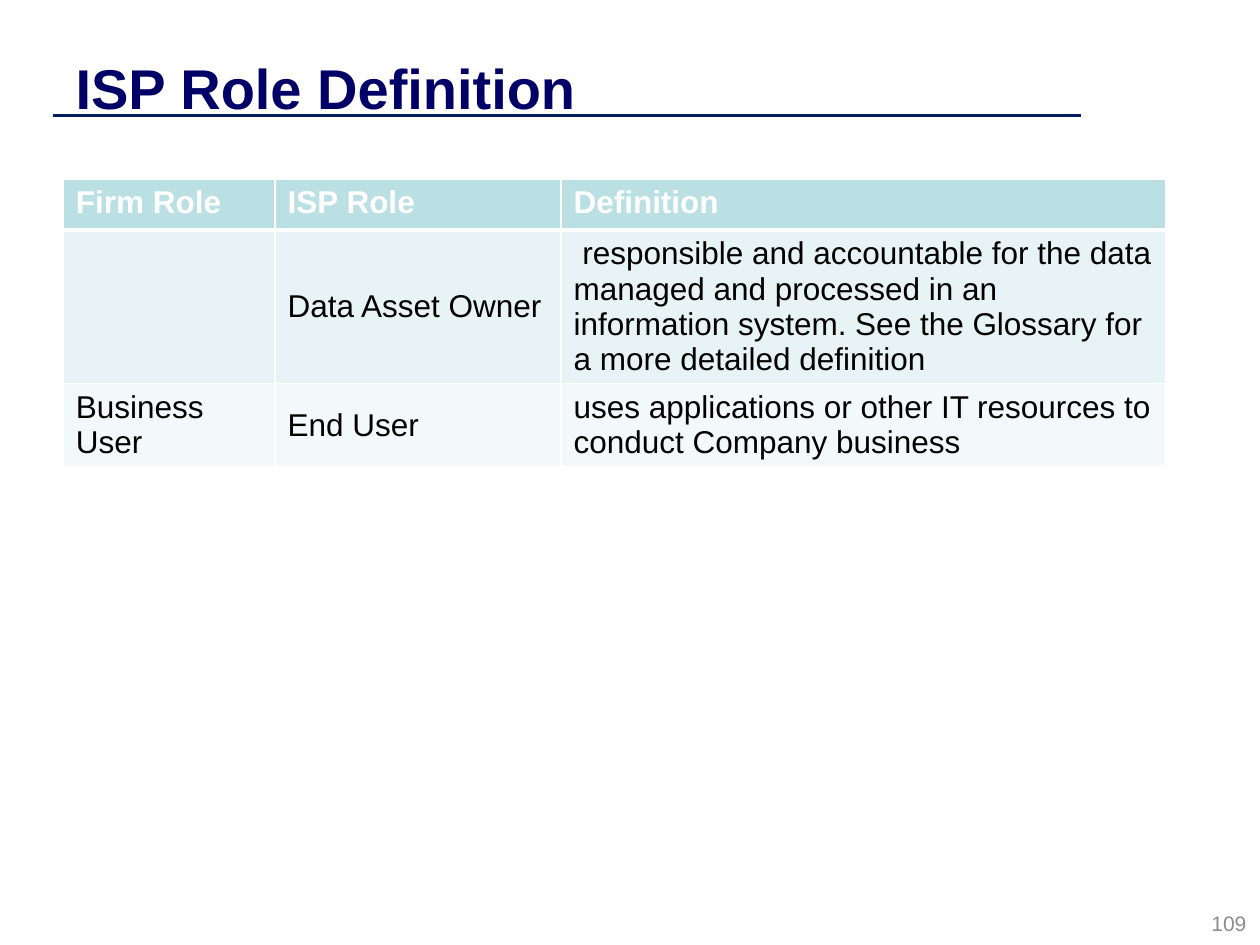
from typing import NamedTuple

from lxml import etree
from pptx import Presentation
from pptx.dml.color import RGBColor
from pptx.enum.shapes import MSO_CONNECTOR
from pptx.enum.text import MSO_ANCHOR, PP_ALIGN
from pptx.oxml.ns import qn
from pptx.util import Pt

TOP, MIDDLE = MSO_ANCHOR.TOP, MSO_ANCHOR.MIDDLE
LEFT, RIGHT = PP_ALIGN.LEFT, PP_ALIGN.RIGHT
STRAIGHT = MSO_CONNECTOR.STRAIGHT
FONT = "Arial"
TITLE_ONLY = 5


class Row(NamedTuple):
    texts: tuple[str, str, str]
    anchors: tuple
    height: float
    fill: str
    color: str = "000000"
    bold: bool = False
    bottom: float = 1


COLUMN_WIDTHS = (121, 163.4, 345.6)
ROWS = (
    Row(("Firm Role", "ISP Role", "Definition"), (TOP, TOP, TOP),
        29.2, "BBE0E3", "FFFFFF", True, 3),
    Row(("", "Data Asset Owner",
         " responsible and accountable for the data managed and processed in an "
         "information system. See the Glossary for a more detailed definition"),
        (TOP, MIDDLE, TOP), 87.8, "E7F3F4"),
    Row(("Business User", "End User",
         "uses applications or other IT resources to conduct Company business"),
        (MIDDLE, MIDDLE, TOP), 47.2, "F3F9FA"),
)


def rgb(value: str) -> RGBColor:
    return RGBColor.from_string(value)


def write(tf, text: str, size: float, color: str, bold: bool = False, align=LEFT) -> None:
    tf.text = text
    p = tf.paragraphs[0]
    p.alignment = align
    for r in p.runs:
        r.font.name = FONT
        r.font.size = Pt(size)
        r.font.bold = bold
        r.font.color.rgb = rgb(color)


def place(sp, left: float, top: float, width: float, height: float) -> None:
    sp.left, sp.top, sp.width, sp.height = map(Pt, (left, top, width, height))


def set_borders(cell, widths: dict[str, float], color: str) -> None:
    # Border lines must come before the fill in the cell properties
    tc_pr = cell._tc.get_or_add_tcPr()
    for i, (side, width) in enumerate(widths.items()):
        ln = etree.Element(qn(f"a:{side}"), w=str(Pt(width)))
        fill = etree.SubElement(ln, qn("a:solidFill"))
        etree.SubElement(fill, qn("a:srgbClr"), val=color)
        tc_pr.insert(i, ln)


def add_role_table(s) -> None:
    table = s.shapes.add_table(
        len(ROWS), len(COLUMN_WIDTHS), Pt(36.2), Pt(102.2),
        Pt(sum(COLUMN_WIDTHS)), Pt(sum(row.height for row in ROWS))).table
    for column, width in zip(table.columns, COLUMN_WIDTHS):
        column.width = Pt(width)
    above = 1
    for i, row in enumerate(ROWS):
        table.rows[i].height = Pt(row.height)
        borders = {"lnL": 1, "lnR": 1, "lnT": above, "lnB": row.bottom}
        for j, (text, anchor) in enumerate(zip(row.texts, row.anchors)):
            cell = table.cell(i, j)
            write(cell.text_frame, text, 18, row.color, row.bold)
            cell.vertical_anchor = anchor
            cell.fill.solid()
            cell.fill.fore_color.rgb = rgb(row.fill)
            set_borders(cell, borders, "FFFFFF")
        above = row.bottom


def main() -> None:
    prs = Presentation()
    prs.slide_width, prs.slide_height = Pt(720), Pt(540)
    s = prs.slides.add_slide(prs.slide_layouts[TITLE_ONLY])

    # Title and the rule under it
    title = s.shapes.title
    place(title, 36, 21.6, 576, 56.2)
    write(title.text_frame, "ISP Role Definition", 32, "000066", True)
    title.text_frame.vertical_anchor = MIDDLE
    rule = s.shapes.add_connector(STRAIGHT, Pt(30.2), Pt(66), Pt(617.8), Pt(66))
    rule.line.color.rgb = rgb("001C5A")
    rule.line.width = Pt(2)
    etree.SubElement(rule._element.spPr, qn("a:effectLst"))

    # Role definitions
    add_role_table(s)

    # Page number
    number = s.shapes.add_textbox(Pt(551.5), Pt(515.5), Pt(167.8), Pt(24.5))
    tf = number.text_frame
    tf.word_wrap = True
    tf.vertical_anchor = MIDDLE
    write(tf, "109", 12, "8C8C8C", align=RIGHT)

    prs.save("out.pptx")


if __name__ == "__main__":
    main()
